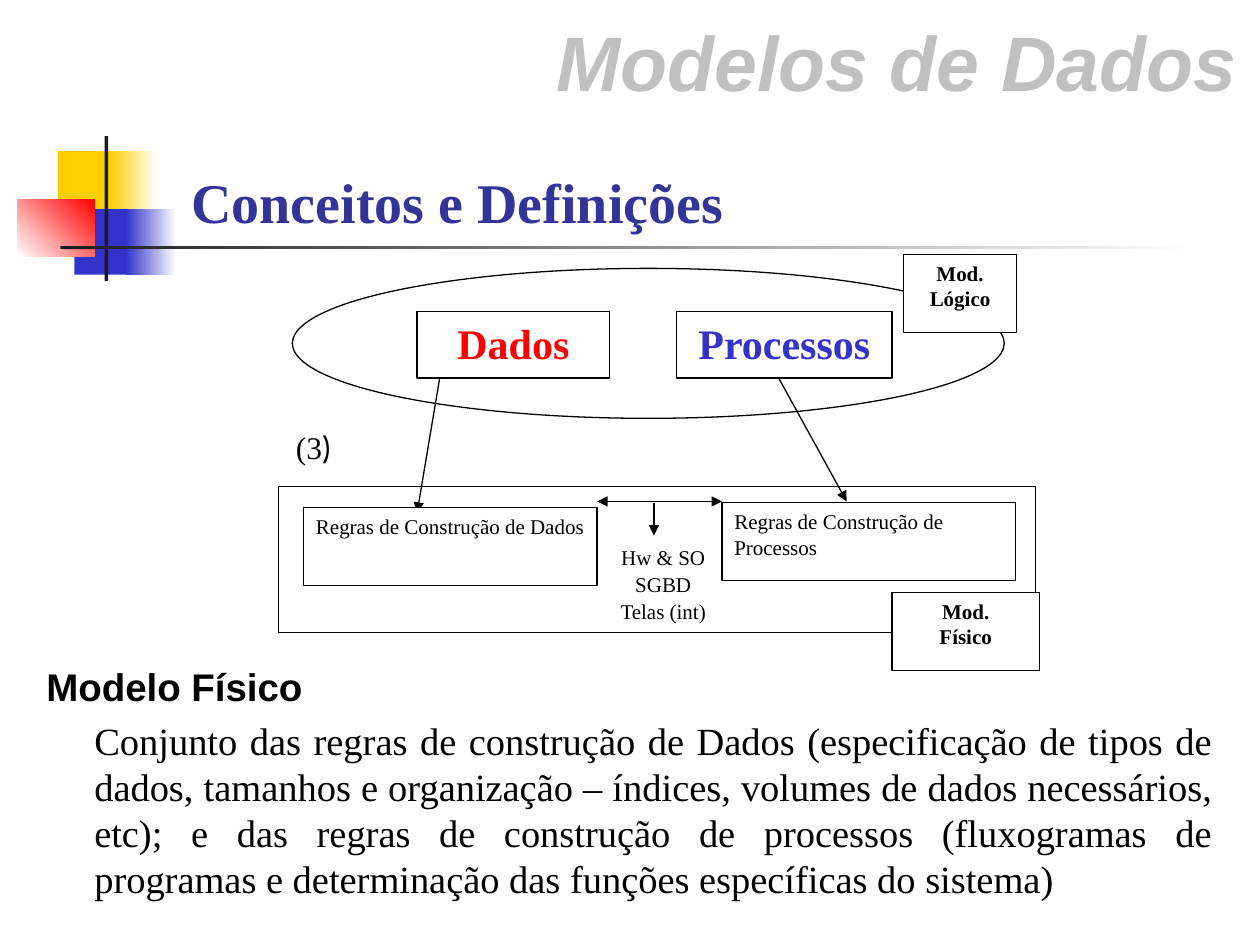
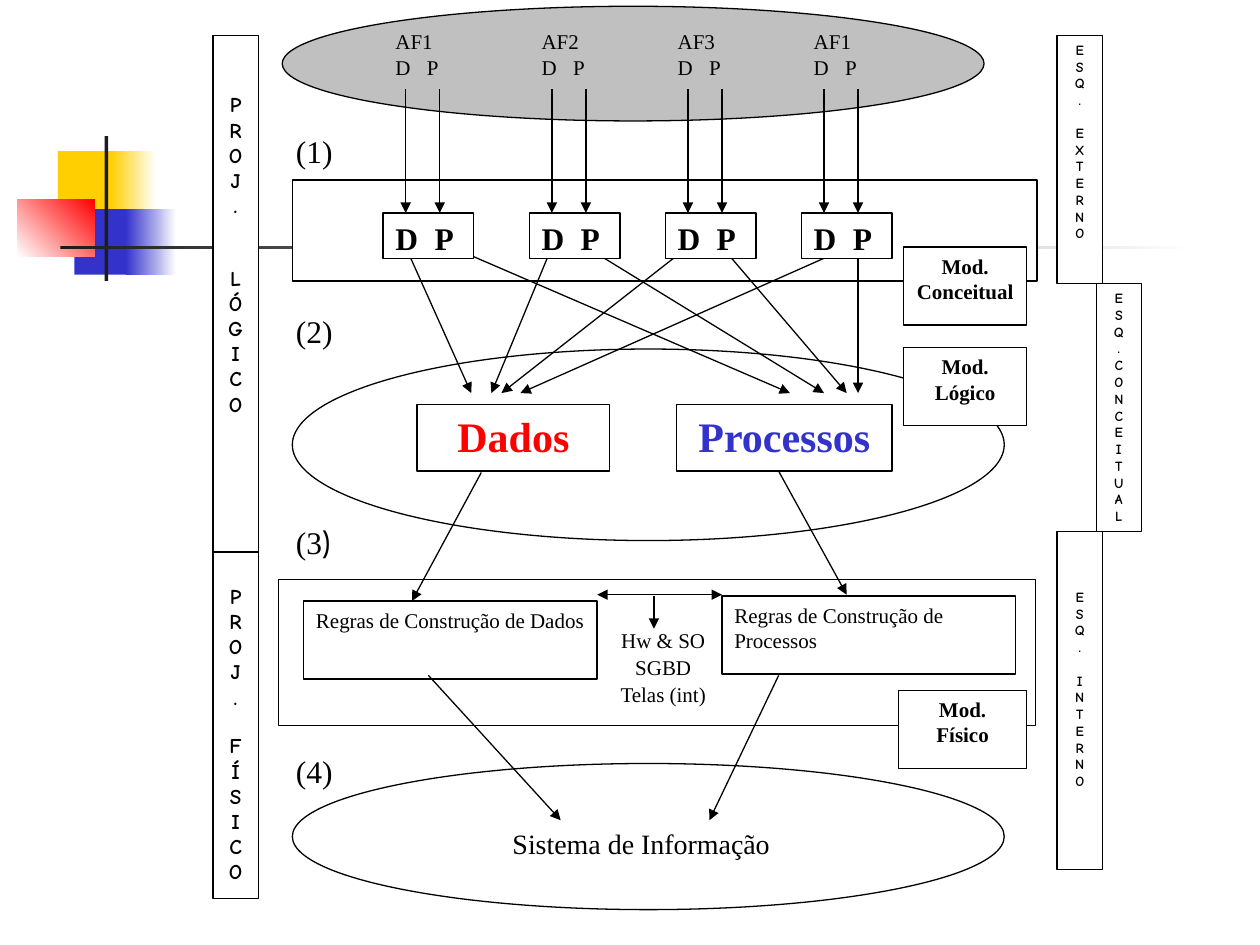
import pptx
import pptx.util
import pptx.dml.color
import pptx.enum.shapes
import pptx.enum.text
import pptx.oxml.ns
import lxml.etree

Inches = pptx.util.Inches
SHAPE = pptx.enum.shapes.MSO_SHAPE
ALIGN = pptx.enum.text.PP_ALIGN
ANCHOR = pptx.enum.text.MSO_ANCHOR
qn = pptx.oxml.ns.qn


class Theme:
    black, white, dark, grey = "000000", "FFFFFF", "1C1C1C", "C0C0C0"
    yellow, blue, red, navy = "FFCF01", "3333CC", "FF0000", "333399"
    serif, sans, comic, cabin = "Times New Roman", "Arial", "Comic Neue", "Cabin"
    line_width = 0.75
    base = {"name": serif, "size": 12, "bold": False, "italic": False, "color": black}
    title = base | {"size": 32, "bold": True, "color": navy}
    banner = base | {"name": sans, "size": 44, "bold": True, "italic": True, "color": grey}
    body = base | {"size": 22}
    entity = base | {"size": 24, "bold": True}
    tag = base | {"bold": True}
    step = base | {"size": 18}
    pair = step | {"bold": True}
    system = base | {"size": 16}
    project = tag | {"name": comic}
    scheme = project | {"size": 8}


def add_box(page, kind, at, paras=(), style=Theme.base, align=ALIGN.LEFT, fill=Theme.white,
            line=Theme.black, insets=(0.1, 0.05, 0.05), anchor=ANCHOR.TOP, gaps=None, tab=None):
    """Add a shape, or a text box if kind is None; insets are left, top, right."""
    place = [Inches(length) for length in at]
    if kind is None:
        box = page.shapes.add_textbox(*place)
    else:
        box = page.shapes.add_shape(kind, *place)
        box.shadow.inherit = False
        if isinstance(fill, tuple):
            start, end, angle = fill
            box.fill.gradient()
            box.fill.gradient_angle = angle
            for stop, color in zip(box.fill.gradient_stops, (start, end)):
                stop.color.rgb = pptx.dml.color.RGBColor.from_string(color)
        else:
            box.fill.solid()
            box.fill.fore_color.rgb = pptx.dml.color.RGBColor.from_string(fill)
        if line:
            box.line.color.rgb = pptx.dml.color.RGBColor.from_string(line)
            box.line.width = pptx.util.Pt(Theme.line_width)
        else:
            box.line.fill.background()
    frame = box.text_frame
    left, top, right = insets
    frame_format = {"word_wrap": True, "vertical_anchor": anchor, "margin_left": Inches(left),
                    "margin_top": Inches(top), "margin_right": Inches(right)}
    for key, value in frame_format.items():
        setattr(frame, key, value)
    for index, spans in enumerate(paras):
        para = frame.add_paragraph() if index else frame.paragraphs[0]
        para.alignment = align
        if gaps and index in gaps:
            para.space_before = pptx.util.Pt(gaps[index])
        if tab:
            properties = para._p.get_or_add_pPr()
            tabs = lxml.etree.SubElement(properties, qn("a:tabLst"))
            lxml.etree.SubElement(tabs, qn("a:tab"), pos=str(Inches(tab)), algn="l")
        for text, changes in [(spans, {})] if isinstance(spans, str) else spans:
            span = para.add_run()
            span.text = text
            values = style | changes
            values = values | {"size": pptx.util.Pt(values["size"])}
            span.font.color.rgb = pptx.dml.color.RGBColor.from_string(values.pop("color"))
            for key, value in values.items():
                setattr(span.font, key, value)
    return box


def add_arrow(page, x1, y1, x2, y2, ends=("tailEnd",)):
    arrow = page.shapes.add_connector(pptx.enum.shapes.MSO_CONNECTOR.STRAIGHT,
                                      *[Inches(length) for length in (x1, y1, x2, y2)])
    arrow.line.color.rgb = pptx.dml.color.RGBColor.from_string(Theme.black)
    arrow.line.width = pptx.util.Pt(Theme.line_width)
    for end in ends:
        lxml.etree.SubElement(arrow.line._get_or_add_ln(), qn("a:" + end), type="triangle")
    lxml.etree.SubElement(arrow._element.spPr, qn("a:effectLst"))


deck = pptx.Presentation()
deck.slide_width, deck.slide_height = Inches(10), Inches(7.5)
concept_page, overview_page = [deck.slides.add_slide(deck.slide_layouts[6]) for _ in range(2)]

# Coloured squares and rule shared by both pages
ornaments = [
    ((0.46, 1.2, 0.48, 0.52), Theme.yellow),
    ((0.88, 1.2, 0.36, 0.52), (Theme.yellow, Theme.white, 0)),
    ((0.59, 1.66, 0.46, 0.52), Theme.blue),
    ((1, 1.66, 0.4, 0.52), (Theme.blue, Theme.white, 0)),
    ((0.14, 1.58, 0.61, 0.46), (Theme.white, Theme.red, 45)),
    ((0.83, 1.08, 0.03, 1.15), Theme.dark),
    ((0.48, 1.95, 9, 0.03), (Theme.dark, Theme.white, 0)),
]
for page in (concept_page, overview_page):
    for at, fill in ornaments:
        add_box(page, SHAPE.RECTANGLE, at, fill=fill, line=None)

# Titles and definition on the first page
add_box(concept_page, None, (1.42, 1.33, 8.58, 0.58), ["Conceitos e Definições"], Theme.title,
        anchor=ANCHOR.BOTTOM)
add_box(concept_page, None, (1.42, 0.15, 8.5, 0.75), ["Modelos de Dados"], Theme.banner,
        ALIGN.RIGHT, insets=(0.1, 0.05, 0.1), anchor=ANCHOR.BOTTOM)
definition = (
    "Conjunto das regras de construção de Dados (especificação de tipos de dados, tamanhos e "
    "organização – índices, volumes de dados necessários, etc); e das regras de construção de "
    "processos (fluxogramas de programas e determinação das funções específicas do sistema)")
box = add_box(concept_page, None, (0.27, 5.21, 9.45, 2.08),
              [[("Modelo Físico", {"name": Theme.sans, "bold": True})], definition],
              Theme.body, ALIGN.JUSTIFY, insets=(0.1, 0.05, 0.1), gaps={1: 4.4})
box.text_frame.paragraphs[1]._p.get_or_add_pPr().set("marL", str(Inches(0.38)))

# Functional areas and conceptual model on the second page
area_lefts = [3.04, 4.2, 5.28, 6.36]
add_box(overview_page, SHAPE.OVAL, (2.24, 0.05, 5.57, 0.91), fill=Theme.grey)
add_box(overview_page, SHAPE.RECTANGLE, (2.32, 1.43, 5.91, 0.8))
for left, area in zip(area_lefts, ["AF1", "AF2", "AF3", "AF1"]):
    add_box(overview_page, None, (left, 0.18, 0.72, 0.71), [area, "D\tP"], tab=0.25)
    for offset in (0.18, 0.45):
        add_arrow(overview_page, left + offset, 0.71, left + offset, 1.69)

# Logical and physical models on both pages
layers = [
    # page, shift, oval top and height, data arrow, top of the platform list
    (concept_page, 0, 2.13, 1.19, (3.49, 3, 3.31, 4.07), 4.27),
    (overview_page, 0.74, 2.77, 1.52, (3.82, 3.75, 3.27, 4.77), 4.93),
]
for page, shift, oval_top, oval_height, data_arrow, platform_top in layers:
    add_box(page, SHAPE.OVAL, (2.32, oval_top, 5.65, oval_height))
    add_box(page, SHAPE.RECTANGLE, (2.21, 3.86 + shift, 6.01, 1.16))
    for left, width, name, color in [(3.31, 1.53, "Dados", Theme.red),
                                     (5.37, 1.71, "Processos", Theme.blue)]:
        add_box(page, SHAPE.RECTANGLE, (left, 2.47 + shift, width, 0.53), [name],
                Theme.entity | {"color": color}, ALIGN.CENTER, insets=(0.05, 0.05, 0.05))
    add_arrow(page, *data_arrow)
    add_arrow(page, 6.18, 3 + shift, 6.72, 3.98 + shift)
    for left, top, name in [(2.41, 4.03, "Dados"), (5.73, 3.99, "Processos")]:
        add_box(page, SHAPE.RECTANGLE, (left, top + shift, 2.33, 0.62),
                ["Regras de Construção de " + name])
    add_arrow(page, 4.74, 3.98 + shift, 5.73, 3.98 + shift, ends=("headEnd", "tailEnd"))
    add_arrow(page, 5.19, 3.99 + shift, 5.19, 4.25 + shift)
    add_box(page, None, (4.61, platform_top, 1.26, 0.74), ["Hw & SO", "SGBD", "Telas (int)"],
            align=ALIGN.CENTER, gaps={1: 1.2, 2: 1.2})

# Arrows from each area to data and to processes
area_arrows = [
    (3.22, 1.96, 3.74), (4.38, 1.96, 3.9), (5.46, 1.96, 3.98), (6.54, 2.05, 4.13),
    (6.81, 1.96, 6.81), (5.73, 1.96, 6.72), (4.65, 1.96, 6.54), (3.58, 1.96, 6.27),
]
for start, top, end in area_arrows:
    add_arrow(overview_page, start, top, end, 3.12)
for left in area_lefts:
    add_box(overview_page, SHAPE.RECTANGLE, (left, 1.69, 0.72, 0.36), ["D\tP"], Theme.pair,
            tab=0.31)

# Information system
add_box(overview_page, SHAPE.OVAL, (2.32, 6.06, 5.65, 1.16))
add_arrow(overview_page, 3.4, 5.36, 4.45, 6.51)
add_arrow(overview_page, 6.18, 5.36, 5.63, 6.51)
add_box(overview_page, None, (3.9, 6.51, 2.33, 0.39), ["Sistema de Informação"], Theme.system,
        ALIGN.CENTER)

# Model tags
tags = [
    (concept_page, 7.17, 2.02, 0.9, "Lógico"),
    (concept_page, 7.08, 4.7, 1.17, "Físico"),
    (overview_page, 7.17, 1.96, 0.98, "Conceitual"),
    (overview_page, 7.17, 2.76, 0.98, "Lógico"),
    (overview_page, 7.13, 5.48, 1.02, "Físico"),
]
for page, left, top, width, name in tags:
    add_box(page, SHAPE.RECTANGLE, (left, top, width, 0.62), ["Mod.", name], Theme.tag,
            ALIGN.CENTER, insets=(0.05, 0.05, 0.05))

# Step numbers
cabin_step = [[("(3", {}), (")", {"name": Theme.cabin})]]
steps = [
    (concept_page, 3.35, cabin_step),
    (overview_page, 1, ["(1)"]),
    (overview_page, 2.43, ["(2)"]),
    (overview_page, 4.1, cabin_step),
    (overview_page, 5.92, ["(4)"]),
]
for page, top, paras in steps:
    add_box(page, None, (2.25, top, 0.58, 0.4), paras, Theme.step)

# Vertical bands: one letter a paragraph, with a gap before the second word
bands = [
    # left, top, height, letters, style, top inset, gaps
    (1.69, 0.28, 4.1, "PROJ.LÓGICO", Theme.project, 0.45, {5: 27}),
    (1.69, 4.38, 2.75, "PROJ.FÍSICO", Theme.project, 0.25, {5: 13.5}),
    (8.39, 0.28, 1.97, "ESQ.EXTERNO", Theme.scheme, 0.05, {4: 9}),
    (8.7, 2.25, 1.97, "ESQ.CONCEITUAL", Theme.scheme, 0.05, None),
    (8.39, 4.22, 2.68, "ESQ.INTERNO", Theme.scheme, 0.45, {4: 9.5}),
]
for left, top, height, letters, style, inset, gaps in bands:
    add_box(overview_page, SHAPE.RECTANGLE, (left, top, 0.36, height), letters, style,
            ALIGN.CENTER, insets=(0.05, inset, 0.05), gaps=gaps)

deck.save("out.pptx")
